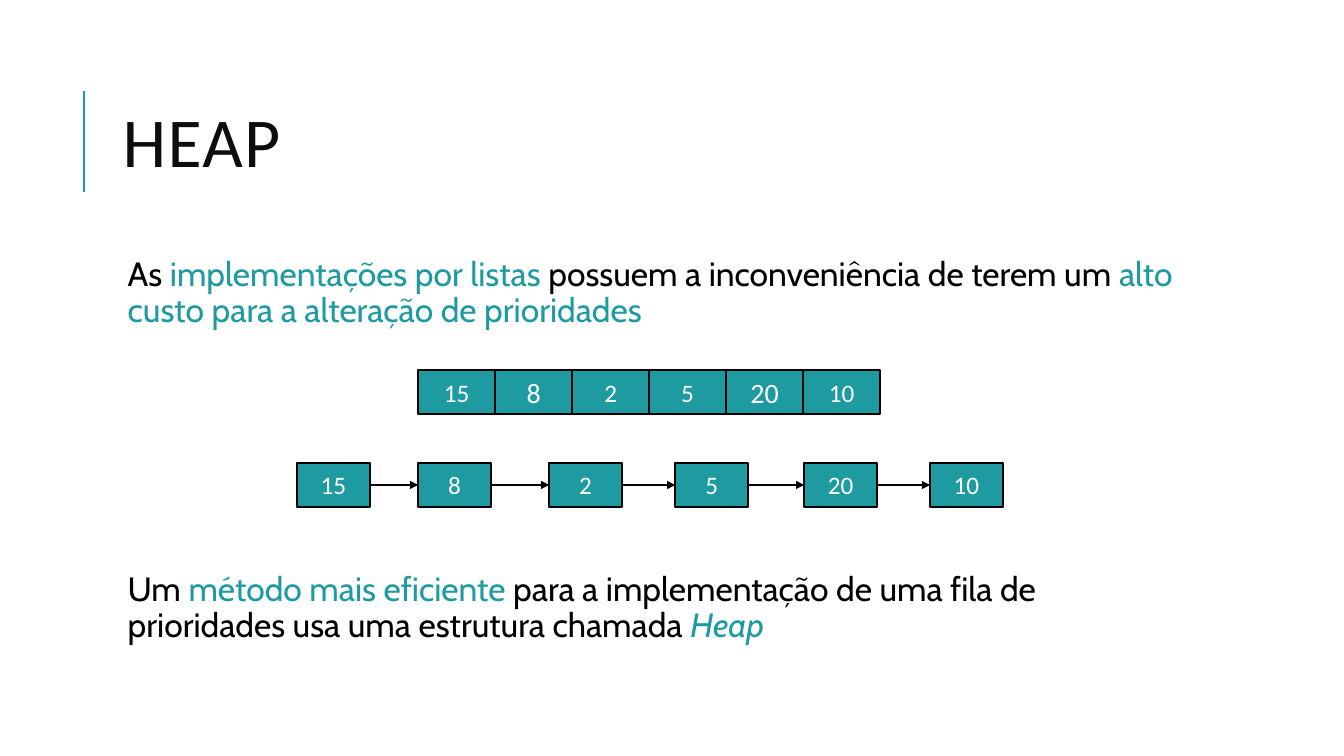
import pptx
import pptx.dml.color
import pptx.enum.shapes
import pptx.enum.text
import pptx.oxml
import pptx.oxml.ns
import pptx.util
from pptx.util import Cm

TEAL, BLACK, WHITE = "1D9BA1", "000000", "FFFFFF"
VALUES = [15, 8, 2, 5, 20, 10]


def paint(color_format, value):
    """Set a fill, line or font colour from a hex string."""
    color_format.rgb = pptx.dml.color.RGBColor.from_string(value)


def add_line(shapes, start, end, color):
    connector = shapes.add_connector(
        pptx.enum.shapes.MSO_CONNECTOR.STRAIGHT, *start, *end)
    connector.line.width = pptx.util.Pt(1.5)
    paint(connector.line.color, color)
    properties = connector.line._get_or_add_ln().getparent()
    pptx.oxml.ns.qn("a:effectLst")
    properties.append(pptx.oxml.parse_xml(
        f'<a:effectLst {pptx.oxml.ns.nsdecls("a")}/>'))
    return connector


deck = pptx.Presentation()
deck.slide_width, deck.slide_height = Cm(33.87), Cm(19.05)
page = deck.slides.add_slide(deck.slide_layouts[6])

# Title with its accent line
add_line(page.shapes, (Cm(2.12), Cm(4.83)), (Cm(2.12), Cm(2.3)), TEAL)
title = page.shapes.add_textbox(Cm(2.84), Cm(1.63), Cm(27), Cm(4.17))
title.text_frame.word_wrap = True
title.text_frame.vertical_anchor = pptx.enum.text.MSO_ANCHOR.MIDDLE
para = title.text_frame.paragraphs[0]
para.text = "HEAP"
para.line_spacing = 0.8
span = para.runs[0]
span.font.name, span.font.size = "Calibri", pptx.util.Pt(50)
paint(span.font.color, "0D0D0D")
span.font._element.set("spc", "100")

# Statements above and below the diagrams
statements = [
    (6.35, [("As ", BLACK),
            ("implementações por listas ", TEAL),
            ("possuem a inconveniência de terem um ", BLACK),
            ("alto custo para a alteração de prioridades", TEAL)]),
    (14.3, [("Um ", BLACK),
            ("método mais eficiente ", TEAL),
            ("para a implementação de uma fila de prioridades "
             "usa uma estrutura chamada ", BLACK),
            ("Heap", TEAL)]),
]
for top, pieces in statements:
    box = page.shapes.add_textbox(Cm(2.84), Cm(top), Cm(27), Cm(2.2))
    frame = box.text_frame
    frame.word_wrap = True
    frame.margin_left = Cm(0.38)
    frame.margin_right = frame.margin_top = frame.margin_bottom = Cm(0.13)
    para = frame.paragraphs[0]
    para.line_spacing = 0.9
    for words, color in pieces:
        span = para.add_run()
        span.text = words
        span.font.name, span.font.size = "Cabin", pptx.util.Pt(24)
        paint(span.font.color, color)
        if words == "Heap":
            span.font.italic = True

# The same values as an array (touching cells) and as a linked list
array_lefts = [10.54 + 1.94 * index for index in range(len(VALUES))]
node_lefts = [7.49, 10.54, 13.84, 17.02, 20.27, 23.44]
array_sizes = [18, 20, 18, 18, 20, 18]
node_sizes = [18] * len(VALUES)
rows = [(9.32, 1.94, array_lefts, array_sizes, False),
        (11.66, 1.83, node_lefts, node_sizes, True)]
for top, width, lefts, sizes, linked in rows:
    previous = None
    for value, left, size in zip(VALUES, lefts, sizes):
        cell = page.shapes.add_shape(
            pptx.enum.shapes.MSO_SHAPE.RECTANGLE,
            Cm(left), Cm(top), Cm(width), Cm(1.12))
        cell.shadow.inherit = False
        cell.fill.solid()
        paint(cell.fill.fore_color, TEAL)
        cell.line.width = pptx.util.Pt(1.25)
        paint(cell.line.color, BLACK)
        cell.text_frame.text = str(value)
        cell.text_frame.vertical_anchor = pptx.enum.text.MSO_ANCHOR.MIDDLE
        para = cell.text_frame.paragraphs[0]
        para.alignment = pptx.enum.text.PP_ALIGN.CENTER
        font = para.runs[0].font
        font.name, font.size = "Calibri", pptx.util.Pt(size)
        paint(font.color, WHITE)
        if linked and previous is not None:
            middle = Cm(top + 0.56)
            arrow = add_line(page.shapes, (previous.left + previous.width, middle),
                             (cell.left, middle), BLACK)
            arrow.begin_connect(previous, 3)
            arrow.end_connect(cell, 1)
            arrow.line._get_or_add_ln().append(pptx.oxml.parse_xml(
                f'<a:tailEnd {pptx.oxml.ns.nsdecls("a")} type="triangle"/>'))
        previous = cell

deck.save("out.pptx")
